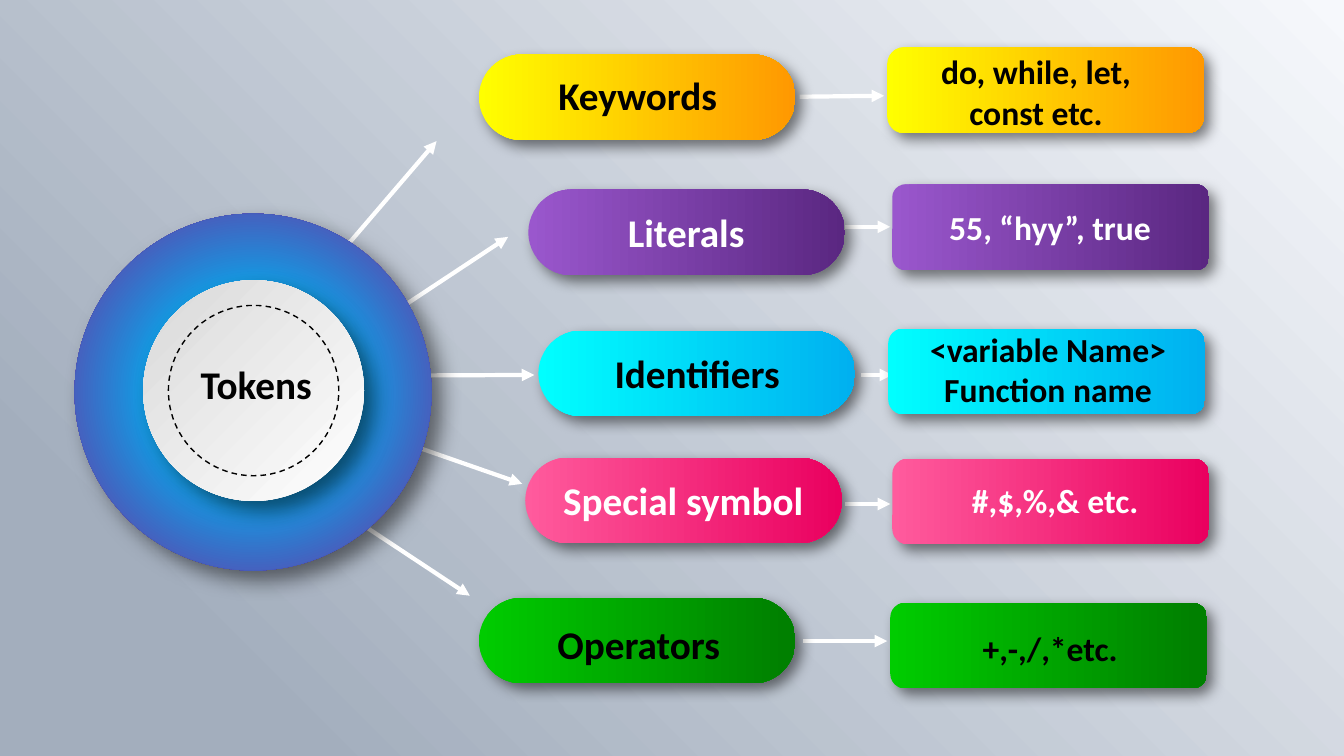
from lxml import etree
from pptx import Presentation
from pptx.dml.color import RGBColor
from pptx.enum.dml import MSO_LINE
from pptx.enum.shapes import MSO_CONNECTOR, MSO_SHAPE
from pptx.enum.text import MSO_AUTO_SIZE, PP_ALIGN
from pptx.oxml.ns import qn
from pptx.util import Inches, Pt

BLACK = RGBColor(0x00, 0x00, 0x00)
WHITE = RGBColor(0xFF, 0xFF, 0xFF)
SILVER = RGBColor(0xD9, 0xD9, 0xD9)
MIST = RGBColor(0xF6, 0xF8, 0xFC)
SLATE = RGBColor(0xA3, 0xAE, 0xBD)
SKY = RGBColor(0x00, 0xB0, 0xF0)
PLUM = RGBColor(0x70, 0x30, 0xA0)

# Gradient stops (position, colour) and text colour of each token row
YELLOW = ((0, RGBColor(0xFF, 0xFF, 0x00)), (1, RGBColor(0xFF, 0x98, 0x01))), BLACK
PURPLE = ((0, RGBColor(0x9A, 0x57, 0xCD)), (1, RGBColor(0x5A, 0x27, 0x81))), WHITE
CYAN = ((0, RGBColor(0x00, 0xFF, 0xFF)), (1, SKY)), BLACK
PINK = ((0, RGBColor(0xFF, 0x5B, 0x9D)), (1, RGBColor(0xEA, 0x00, 0x5F))), WHITE
GREEN = ((0, RGBColor(0x00, 0xCC, 0x00)), (0.97, RGBColor(0x00, 0x80, 0x00))), BLACK

# Each label: lines, text box (left, top, width, height), corner of its shape
PILLS = [
    (["Keywords"], (5.14, 0.66, 2.37, 0.57), (4.75, 0.54), YELLOW),
    (["Literals"], (5.62, 2.02, 2.37, 0.57), (5.24, 1.88), PURPLE),
    (["Identifiers"], (5.73, 3.42, 2.37, 0.57), (5.34, 3.28), CYAN),
    (["Special symbol"], (5.42, 4.68, 2.71, 0.57), (5.21, 4.54), PINK),
    (["Operators"], (5.15, 6.1, 2.37, 0.57), (4.75, 5.93), GREEN),
]
CARDS = [
    (["do, while, let, const etc."], (9.09, 0.46, 2.37, 0.91), (8.8, 0.47), YELLOW),
    (["55, “hyy”, true"], (9.23, 2, 2.37, 0.5), (8.85, 1.83), PURPLE),
    (["<variable Name>", "Function name"], (9.07, 3.21, 2.65, 0.91), (8.81, 3.26), CYAN),
    (["#,$,%,& etc."], (9.14, 4.71, 2.65, 0.5), (8.85, 4.55), PINK),
    (["+,-,/,*etc."], (9.09, 6.18, 2.65, 0.5), (8.83, 5.98), GREEN),
]
LABEL_SIZE = (3.14, 0.85)
PILL_ROUNDING = 0.5
CARD_ROUNDINGS = [0.19, 0.15, 0.17, 0.18, 0.17]

# Arrows: start x, y, end x, y
SPOKES = [
    (2.71, 3.29, 4.33, 1.4),
    (2.71, 3.89, 5.04, 2.35),
    (2.9, 3.73, 5.3, 3.72),
    (3.03, 4.05, 5.18, 4.8),
    (2.12, 4.23, 4.66, 5.91),
]
LINKS = [
    (7.93, 0.96, 8.77, 0.95),
    (8.38, 2.25, 8.83, 2.25),
    (8.54, 3.72, 8.85, 3.72),
    (8.38, 5, 8.83, 5),
    (7.96, 6.36, 8.8, 6.36),
]


def set_gradient(fill, stops, clockwise=0):
    fill.gradient()
    fill.gradient_angle = -clockwise % 360
    for stop, (position, color) in zip(fill.gradient_stops, stops):
        stop.position = position
        stop.color.rgb = color


def make_radial(shape):
    gradient = shape._element.spPr.find(qn("a:gradFill"))
    gradient.remove(gradient.find(qn("a:lin")))
    circle = etree.SubElement(gradient, qn("a:path"), path="circle")
    etree.SubElement(circle, qn("a:fillToRect"), l="50000", t="50000", r="50000", b="50000")


def add_shadow(shape, blur, distance):
    effects = shape._element.spPr.find(qn("a:effectLst"))
    shadow = etree.SubElement(
        effects, qn("a:outerShdw"), blurRad=str(Pt(blur)), dist=str(Pt(distance)),
        dir=str(45 * 60000), algn="tl", rotWithShape="0")
    color = etree.SubElement(shadow, qn("a:srgbClr"), val=str(BLACK))
    etree.SubElement(color, qn("a:alpha"), val="50000")


def add_plain_shape(page, kind, bounds):
    shape = page.shapes.add_shape(kind, *map(Inches, bounds))
    shape.shadow.inherit = False
    shape.line.fill.background()
    return shape


def add_text(page, lines, bounds, size, color):
    box = page.shapes.add_textbox(*map(Inches, bounds))
    frame = box.text_frame
    frame.word_wrap = True
    frame.auto_size = MSO_AUTO_SIZE.SHAPE_TO_FIT_TEXT
    frame.text = "\n".join(lines)
    for para in frame.paragraphs:
        para.alignment = PP_ALIGN.CENTER
        para.font.name = "Calibri"
        para.font.size = Pt(size)
        para.font.bold = True
        para.font.color.rgb = color


def add_arrow(page, ends):
    arrow = page.shapes.add_connector(MSO_CONNECTOR.STRAIGHT, *map(Inches, ends))
    arrow.line.color.rgb = WHITE
    arrow.line.width = Pt(3)
    etree.SubElement(arrow.line._get_or_add_ln(), qn("a:tailEnd"), type="triangle")
    etree.SubElement(arrow._element.spPr, qn("a:effectLst"))


def add_label(page, label, rounding, size):
    lines, text_bounds, corner, (stops, text_color) = label
    shape = add_plain_shape(page, MSO_SHAPE.ROUNDED_RECTANGLE, corner + LABEL_SIZE)
    shape.adjustments[0] = rounding
    set_gradient(shape.fill, stops)
    add_shadow(shape, 10, 6)
    add_text(page, lines, text_bounds, size, text_color)


def add_hub(page):
    ring = add_plain_shape(page, MSO_SHAPE.OVAL, (0.74, 2.12, 3.54, 3.54))
    set_gradient(ring.fill, ((0.32, SKY), (0.95, PLUM)))
    make_radial(ring)
    add_shadow(ring, 15, 10)

    disc = add_plain_shape(page, MSO_SHAPE.OVAL, (1.42, 2.78, 2.19, 2.19))
    set_gradient(disc.fill, ((0, WHITE), (1, SILVER)), 225)
    add_shadow(disc, 15, 10)

    dashes = add_plain_shape(page, MSO_SHAPE.OVAL, (1.67, 3.03, 1.69, 1.69))
    dashes.fill.background()
    dashes.line.color.rgb = BLACK
    dashes.line.width = Pt(1)
    dashes.line.dash_style = MSO_LINE.DASH

    add_text(page, ["Tokens"], (1.76, 3.53, 1.56, 0.57), 28, BLACK)


def main():
    deck = Presentation()
    deck.slide_width, deck.slide_height = Inches(13.33), Inches(7.5)
    page = deck.slides.add_slide(deck.slide_layouts[6])
    set_gradient(page.background.fill, ((0, MIST), (0.85, SLATE)), 135)

    # Hub with its spokes behind it
    for ends in SPOKES:
        add_arrow(page, ends)
    add_hub(page)

    # Token kinds, each linked to its examples
    for ends in LINKS:
        add_arrow(page, ends)
    for pill in PILLS:
        add_label(page, pill, PILL_ROUNDING, 28)
    for card, rounding in zip(CARDS, CARD_ROUNDINGS):
        add_label(page, card, rounding, 24)

    deck.save("out.pptx")


if __name__ == "__main__":
    main()
